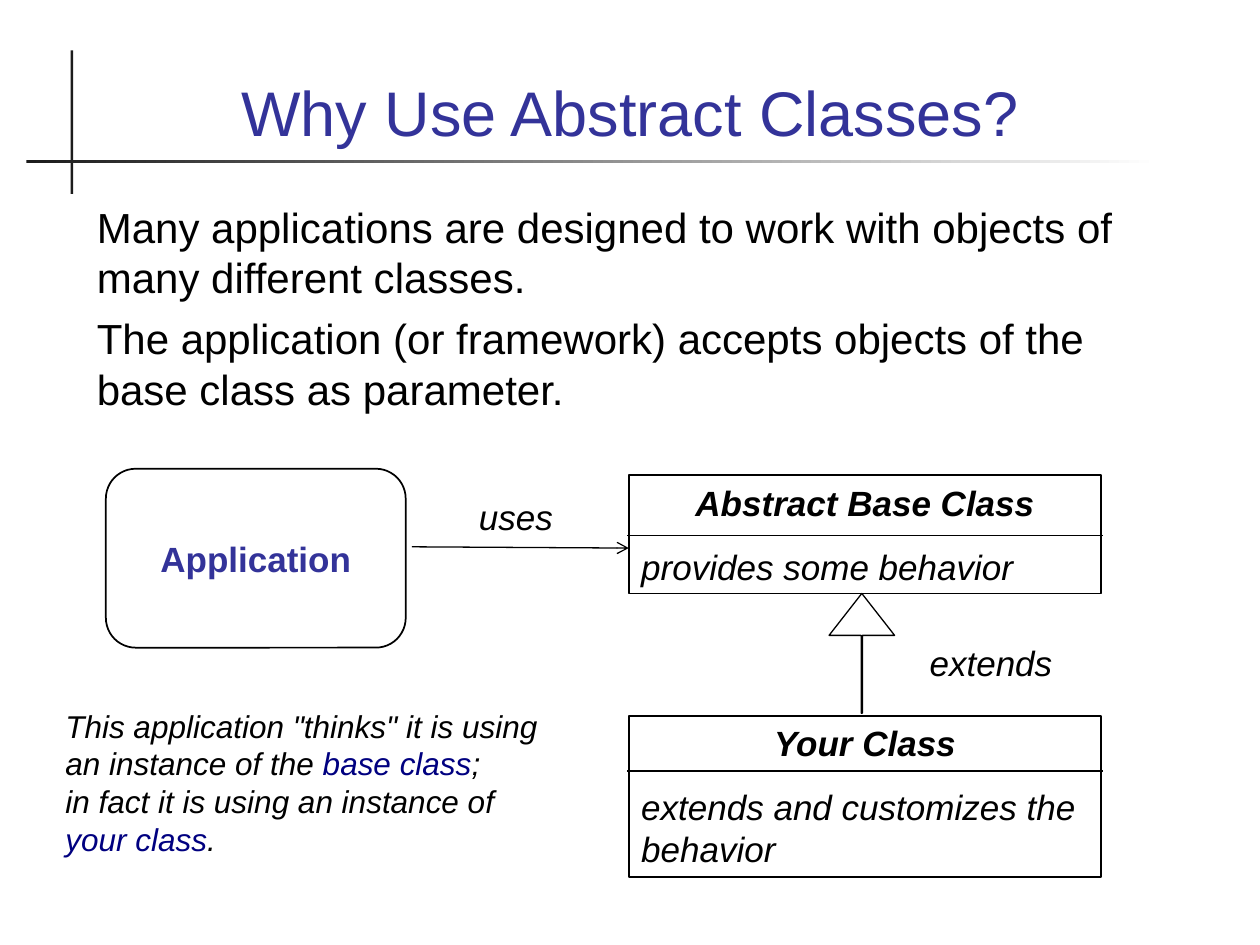
"""Build the slide 'Why Use Abstract Classes?' with its class diagram."""
from lxml.etree import SubElement
from pptx import Presentation
from pptx.dml.color import RGBColor
from pptx.enum.shapes import MSO_CONNECTOR, MSO_SHAPE as Preset
from pptx.enum.text import MSO_ANCHOR as Anchor, PP_ALIGN as Align
from pptx.oxml.ns import qn
from pptx.util import Inches, Pt

BLACK = RGBColor(0x00, 0x00, 0x00)
WHITE = RGBColor(0xFF, 0xFF, 0xFF)
CHARCOAL = RGBColor(0x1C, 0x1C, 0x1C)
INDIGO = RGBColor(0x33, 0x33, 0x99)
NAVY = RGBColor(0x00, 0x00, 0x80)
FONT = "Arial"

TITLE = "Why Use Abstract Classes?"
BODY = [
    "Many applications are designed to work with objects of many different classes.",
    "The application (or framework) accepts objects of the base class as parameter.",
]
APPLICATION = "Application"
CLASS_LEFT, CLASS_WIDTH, RULE_OVERHANG = 4.99, 3.75, 0.01
CLASSES = [
    ("Abstract Base Class", "provides some behavior", 3.77, 0.94, 4.25),
    ("Your Class", "extends and customizes the behavior", 5.68, 1.28, 6.12),
]
LABELS = [("uses", 3.44, 3.88), ("extends", 7.21, 5.04)]
REMARK = [
    [('This application "thinks" it is using an instance of the ', BLACK),
     ("base class", NAVY), ("; ", BLACK)],
    [("in fact it is using an instance of ", BLACK),
     ("your class", NAVY), (".", BLACK)],
]


def add_run(paragraph, wording, size, color=BLACK, bold=False, italic=False):
    run = paragraph.add_run()
    run.text = wording
    font = run.font
    font.name, font.size, font.bold, font.italic = FONT, Pt(size), bold, italic
    font.color.rgb = color


def add_box(slide, left, top, width, height):
    box = slide.shapes.add_textbox(*map(Inches, (left, top, width, height)))
    box.text_frame.word_wrap = True
    return box.text_frame


def add_outline(slide, preset, left, top, width, height, weight=1):
    outline = slide.shapes.add_shape(preset, *map(Inches, (left, top, width, height)))
    outline.shadow.inherit = False
    outline.fill.background()
    outline.line.color.rgb = BLACK
    outline.line.width = Pt(weight)
    outline.text_frame.word_wrap = True
    return outline


def add_bar(slide, left, top, width, height):
    bar = slide.shapes.add_shape(Preset.RECTANGLE, *map(Inches, (left, top, width, height)))
    bar.shadow.inherit = False
    bar.line.fill.background()
    return bar.fill


def add_line(slide, start, end, weight=1, arrow=False):
    line = slide.shapes.add_connector(MSO_CONNECTOR.STRAIGHT, *map(Inches, (*start, *end)))
    line.line.color.rgb = BLACK
    line.line.width = Pt(weight)
    if arrow:
        SubElement(line.line._get_or_add_ln(), qn("a:tailEnd"), type="arrow")
    SubElement(line._element.spPr, qn("a:effectLst"))


def add_heading(slide):
    add_bar(slide, 0.56, 0.4, 0.02, 1.14).solid()
    upright = slide.shapes[-1].fill
    upright.fore_color.rgb = CHARCOAL
    fade = add_bar(slide, 0.21, 1.27, 8.99, 0.02)
    fade.gradient()
    fade.gradient_angle = 0
    for stop, color in zip(fade.gradient_stops, (CHARCOAL, WHITE)):
        stop.color.rgb = color
    title = add_box(slide, 0.67, 0.28, 8.66, 0.95)
    title.vertical_anchor = Anchor.BOTTOM
    title.paragraphs[0].alignment = Align.CENTER
    add_run(title.paragraphs[0], TITLE, 36, INDIGO)


def add_body(slide):
    body = add_box(slide, 0.67, 1.55, 8.66, 1.98)
    for index, sentence in enumerate(BODY):
        paragraph = body.add_paragraph() if index else body.paragraphs[0]
        if index:
            paragraph.space_before = Pt(6)
        add_run(paragraph, sentence, 24)


def add_class(slide, name, role, top, height, rule):
    frame = add_outline(slide, Preset.RECTANGLE, CLASS_LEFT, top, CLASS_WIDTH, height).text_frame
    frame.vertical_anchor = Anchor.TOP
    heading, duty = frame.paragraphs[0], frame.add_paragraph()
    heading.alignment, duty.alignment = Align.CENTER, Align.LEFT
    duty.space_before = Pt(12.5)
    add_run(heading, name, 20, bold=True, italic=True)
    add_run(duty, role, 20, italic=True)
    add_line(slide, (CLASS_LEFT - RULE_OVERHANG, rule),
             (CLASS_LEFT + CLASS_WIDTH + RULE_OVERHANG, rule))


def add_diagram(slide):
    for entry in CLASSES:
        add_class(slide, *entry)
    application = add_outline(slide, Preset.ROUNDED_RECTANGLE, 0.84, 3.72, 2.38, 1.42).text_frame
    application.vertical_anchor = Anchor.MIDDLE
    application.paragraphs[0].alignment = Align.CENTER
    add_run(application.paragraphs[0], APPLICATION, 20, INDIGO, bold=True)
    add_line(slide, (3.27, 4.34), (CLASS_LEFT, 4.35), 0.75, arrow=True)
    inheritance = add_outline(slide, Preset.UP_ARROW, 6.58, 4.71, 0.52, 0.95, 0.75)
    inheritance.adjustments[0] = 0.02
    inheritance.adjustments[1] = 0.64
    for wording, left, top in LABELS:
        label = add_box(slide, left, top, 1.31, 0.44).paragraphs[0]
        label.alignment = Align.CENTER
        add_run(label, wording, 20, italic=True)


def add_remark(slide):
    remark = add_box(slide, 0.42, 5.56, 4.09, 1.3).paragraphs[0]
    for index, pieces in enumerate(REMARK):
        if index:
            remark.add_line_break()
        for wording, color in pieces:
            add_run(remark, wording, 18, color, italic=True)


def main():
    deck = Presentation()
    deck.slide_width, deck.slide_height = Inches(10), Inches(7.5)
    slide = deck.slides.add_slide(deck.slide_layouts[6])
    for add_part in (add_heading, add_body, add_diagram, add_remark):
        add_part(slide)
    deck.save("out.pptx")


if __name__ == "__main__":
    main()
